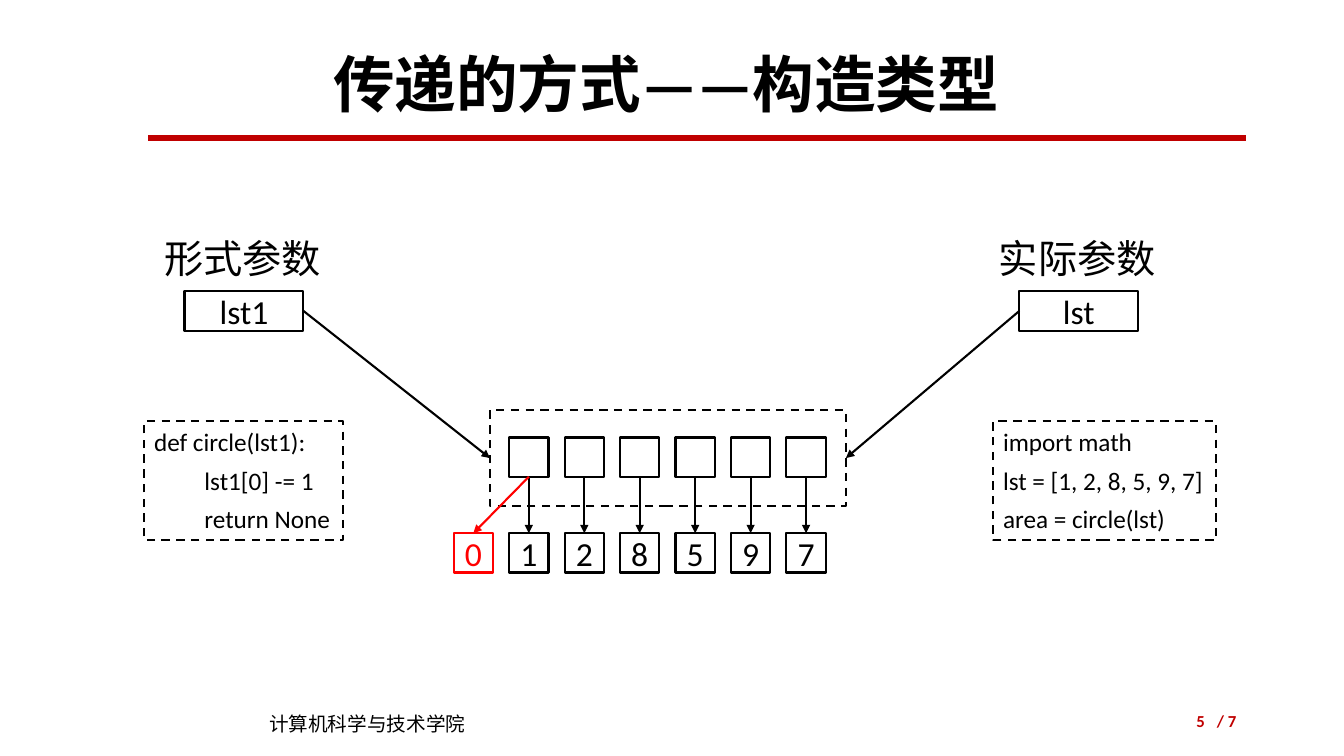
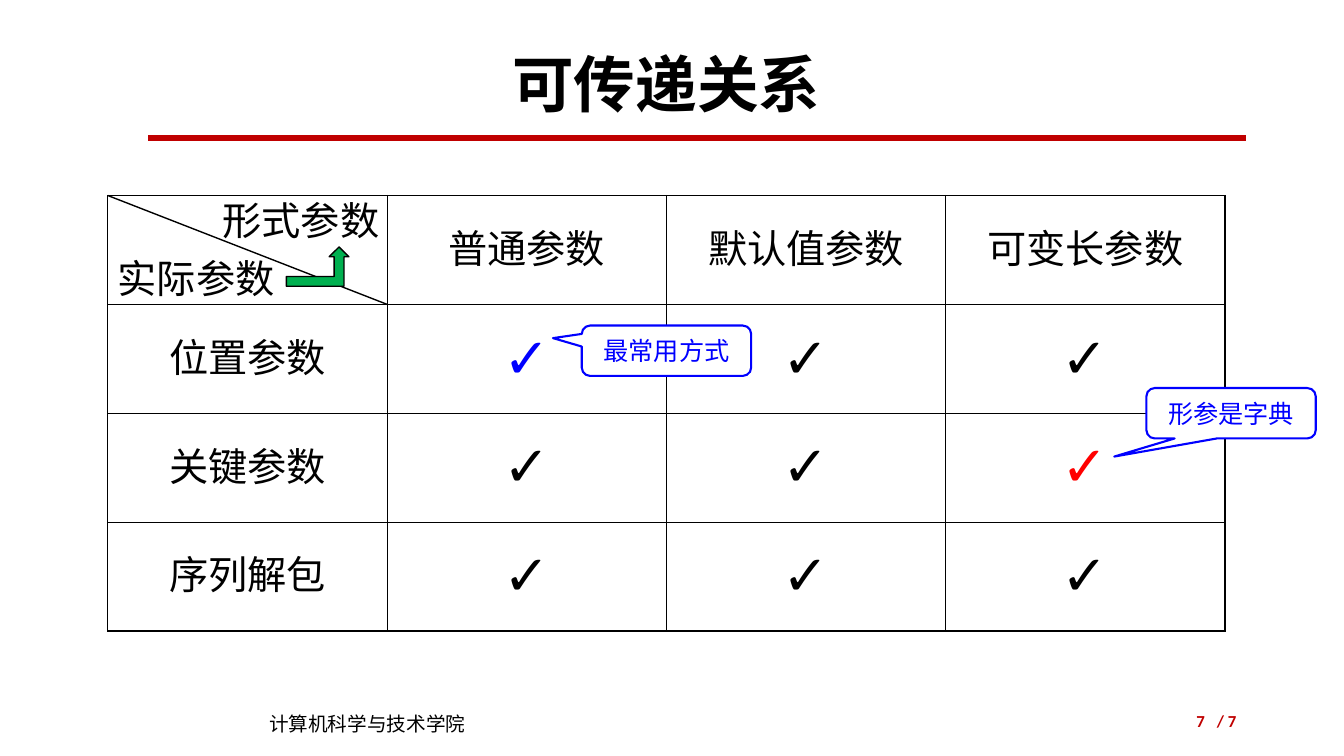
from lxml import etree
from pptx import Presentation
from pptx.dml.color import RGBColor
from pptx.enum import dml, lang, shapes, text
from pptx.oxml import ns
from pptx.util import Inches, Pt

BLACK = RGBColor(0x00, 0x00, 0x00)
WHITE = RGBColor(0xFF, 0xFF, 0xFF)
DARK_RED = RGBColor(0xC0, 0x00, 0x00)
RED = RGBColor(0xFF, 0x00, 0x00)
BLUE = RGBColor(0x00, 0x00, 0xFF)
GREEN = RGBColor(0x00, 0xB0, 0x50)
LATIN_FONT = "Calibri"
CHINESE_FONT = "Noto Sans CJK SC"
LEFT, CENTER, RIGHT = text.PP_ALIGN.LEFT, text.PP_ALIGN.CENTER, text.PP_ALIGN.RIGHT
TOP, MIDDLE = text.MSO_ANCHOR.TOP, text.MSO_ANCHOR.MIDDLE
RECTANGLE = shapes.MSO_SHAPE.RECTANGLE
CALLOUT = shapes.MSO_SHAPE.ROUNDED_RECTANGULAR_CALLOUT


def write(paragraph, words, size, color=BLACK, bold=False, align=CENTER, face=LATIN_FONT):
    """Add one formatted run to a paragraph."""
    paragraph.alignment = align
    run = paragraph.add_run()
    run.text = words
    font = run.font
    font.name, font.size, font.bold = face, Pt(size), bold
    font.color.rgb = color
    font.language_id = lang.MSO_LANGUAGE_ID.SIMPLIFIED_CHINESE
    east_asian = etree.SubElement(run._r.get_or_add_rPr(), ns.qn("a:ea"))
    east_asian.set("typeface", face)


def add_box(slide, at, lines=(), size=24, color=BLACK, kind=None, fill=None, line=BLACK,
            width=1.5, dashed=False, align=CENTER, anchor=MIDDLE, wrap=True, **style):
    """Add a preset shape, or a text box when no kind is given."""
    place = [Inches(length) for length in at]
    if kind is None:
        shape = slide.shapes.add_textbox(*place)
    else:
        shape = slide.shapes.add_shape(kind, *place)
        shape.shadow.inherit = False
        shape.line.color.rgb = line
        shape.line.width = Pt(width)
        if dashed:
            shape.line.dash_style = dml.MSO_LINE.DASH
        if fill is None:
            shape.fill.background()
        else:
            shape.fill.solid()
            shape.fill.fore_color.rgb = fill
    frame = shape.text_frame
    frame.word_wrap = wrap
    frame.vertical_anchor = anchor
    for number, words in enumerate(lines):
        paragraph = frame.add_paragraph() if number else frame.paragraphs[0]
        if number:
            paragraph.space_before = Pt(6)
        if words.startswith("\t"):
            tabs = etree.SubElement(paragraph._p.get_or_add_pPr(), ns.qn("a:tabLst"))
            etree.SubElement(tabs, ns.qn("a:tab"), pos=str(Inches(0.5)), algn="l")
        write(paragraph, words, size, color, align=align, **style)
    return shape


presentation = Presentation()
presentation.slide_width = Inches(13.33)
presentation.slide_height = Inches(7.5)

# Shared title, rule and footer; plain lines are collected with their slide
slides = []
lines = []
for title_text, page in (("传递的方式——构造类型", "5"), ("可传递关系", "7")):
    slide = presentation.slides.add_slide(presentation.slide_layouts[5])
    slides.append(slide)
    title = slide.shapes.title
    title.left, title.top = Inches(0.86), Inches(0.4)
    title.width, title.height = Inches(11.5), Inches(0.94)
    title.text_frame.vertical_anchor = MIDDLE
    paragraph = title.text_frame.paragraphs[0]
    paragraph.line_spacing = 0.9
    write(paragraph, title_text, 44, bold=True)
    lines.append((slide, (1.47, 1.37, 12.36, 1.37), DARK_RED, 4.5))
    add_box(slide, (2.57, 7.01, 2.92, 0.34), ["计算机科学与技术学院"], 14,
            align=LEFT, anchor=TOP, face=CHINESE_FONT)
    for at, words in (((9.42, 6.95, 2.63, 0.4), page), ((11.62, 6.95, 0.74, 0.4), "/ 7")):
        add_box(slide, at, [words], 12, DARK_RED, align=RIGHT, bold=True)
passing_slide, relation_slide = slides

# Code on both sides
for at, code in (
    ((1.43, 4.18, 1.97, 1.18), ["def circle(lst1):", "\tlst1[0] -= 1", "\treturn None"]),
    ((9.85, 4.18, 2.21, 1.18), ["import math", "lst = [1, 2, 8, 5, 9, 7]", "area = circle(lst)"]),
):
    add_box(passing_slide, at, code, 18, kind=RECTANGLE, fill=WHITE, dashed=True,
            align=LEFT, anchor=TOP, wrap=False)

# Parameters pointing at the shared list
list_frame = add_box(passing_slide, (4.86, 4.07, 3.53, 0.95), kind=RECTANGLE, dashed=True)
TOP_SITE, LEFT_SITE, BOTTOM_SITE, RIGHT_SITE = range(4)
arrows = []
for left, label, name, start_site, end_site in (
    (1.83, "形式参数", "lst1", RIGHT_SITE, LEFT_SITE),
    (10.11, "实际参数", "lst", LEFT_SITE, RIGHT_SITE),
):
    add_box(passing_slide, (left - 0.3, 2.28, 1.77, 0.57), [label], 28,
            align=LEFT, anchor=TOP, wrap=False)
    variable = add_box(passing_slide, (left, 2.89, 1.18, 0.39), [name], kind=RECTANGLE)
    arrows.append((variable, start_site, list_frame, end_site, BLACK))

# List slots and their values
CELL, PITCH, FIRST_LEFT = 0.39, 0.55, 5.05
new_value = add_box(passing_slide, (FIRST_LEFT - PITCH, 5.29, CELL, CELL), ["0"],
                    color=RED, kind=RECTANGLE, line=RED)
for index, value in enumerate("128597"):
    left = FIRST_LEFT + index * PITCH
    slot = add_box(passing_slide, (left, 4.34, CELL, CELL), kind=RECTANGLE)
    value_box = add_box(passing_slide, (left, 5.29, CELL, CELL), [value], kind=RECTANGLE)
    arrows.append((slot, BOTTOM_SITE, value_box, TOP_SITE, BLACK))
    if index == 0:
        arrows.append((slot, BOTTOM_SITE, new_value, TOP_SITE, RED))

# Table of what can be passed to what
COLUMN_WIDTH, ROW_HEIGHT = 2.77, 1.08
rows = (
    ("", "普通参数", "默认值参数", "可变长参数"),
    ("位置参数", "✓", "✓", "✓"),
    ("关键参数", "✓", "✓", "✓"),
    ("序列解包", "✓", "✓", "✓"),
)
mark_colors = {(1, 1): BLUE, (2, 3): RED}
table = relation_slide.shapes.add_table(
    4, 4, Inches(1.07), Inches(1.94), Inches(4 * COLUMN_WIDTH), Inches(4 * ROW_HEIGHT)).table
table.first_row = table.horz_banding = False
for row_index, row in enumerate(rows):
    table.rows[row_index].height = Inches(ROW_HEIGHT)
    table.columns[row_index].width = Inches(COLUMN_WIDTH)
    for column_index, words in enumerate(row):
        cell = table.cell(row_index, column_index)
        cell.vertical_anchor = MIDDLE
        if words:
            is_mark = words == "✓"
            write(cell.text_frame.paragraphs[0], words, 40 if is_mark else 28,
                  mark_colors.get((row_index, column_index), BLACK), bold=is_mark)
        properties = cell._tc.get_or_add_tcPr()
        for side in ("a:lnL", "a:lnR", "a:lnT", "a:lnB"):
            border = etree.SubElement(properties, ns.qn(side), w=str(Pt(1)))
            border_fill = etree.SubElement(border, ns.qn("a:solidFill"))
            etree.SubElement(border_fill, ns.qn("a:srgbClr"), val=str(BLACK))
        cell.fill.background()

# Lines and arrows
lines.append((relation_slide, (1.07, 1.94, 3.84, 3.02), BLACK, 1))
connectors = []
for slide, ends, color, width in lines:
    connector = slide.shapes.add_connector(
        shapes.MSO_CONNECTOR.STRAIGHT, *[Inches(length) for length in ends])
    connectors.append((connector, color, width))
for start, start_site, end, end_site, color in arrows:
    connector = passing_slide.shapes.add_connector(shapes.MSO_CONNECTOR.STRAIGHT, 0, 0, 0, 0)
    connector.begin_connect(start, start_site)
    connector.end_connect(end, end_site)
    connector.line.color.rgb = color
    etree.SubElement(connector.line._get_or_add_ln(), ns.qn("a:tailEnd"), type="triangle")
    connectors.append((connector, color, 1.5))
for connector, color, width in connectors:
    connector.line.color.rgb = color
    connector.line.width = Pt(width)
    etree.SubElement(connector._element.spPr, ns.qn("a:effectLst"))

# Split header cell
for at, label in (((1.07, 2.47, 1.77, 0.57), "实际参数"), ((2.11, 1.9, 1.77, 0.57), "形式参数")):
    add_box(relation_slide, at, [label], 28, align=LEFT, anchor=TOP, wrap=False)
add_box(relation_slide, (2.84, 2.45, 0.62, 0.39), kind=shapes.MSO_SHAPE.BENT_UP_ARROW,
        fill=GREEN, width=1)

# Callouts
for left, top, words, tip in (
    (11.37, 3.85, "形参是字典", (-0.69, 0.86)),
    (5.77, 3.23, "最常用方式", (-0.67, -0.25)),
):
    callout = add_box(relation_slide, (left, top, 1.68, 0.5), [words], 18, BLUE,
                      kind=CALLOUT, fill=WHITE, line=BLUE)
    callout.adjustments[0], callout.adjustments[1] = tip

presentation.save("out.pptx")
